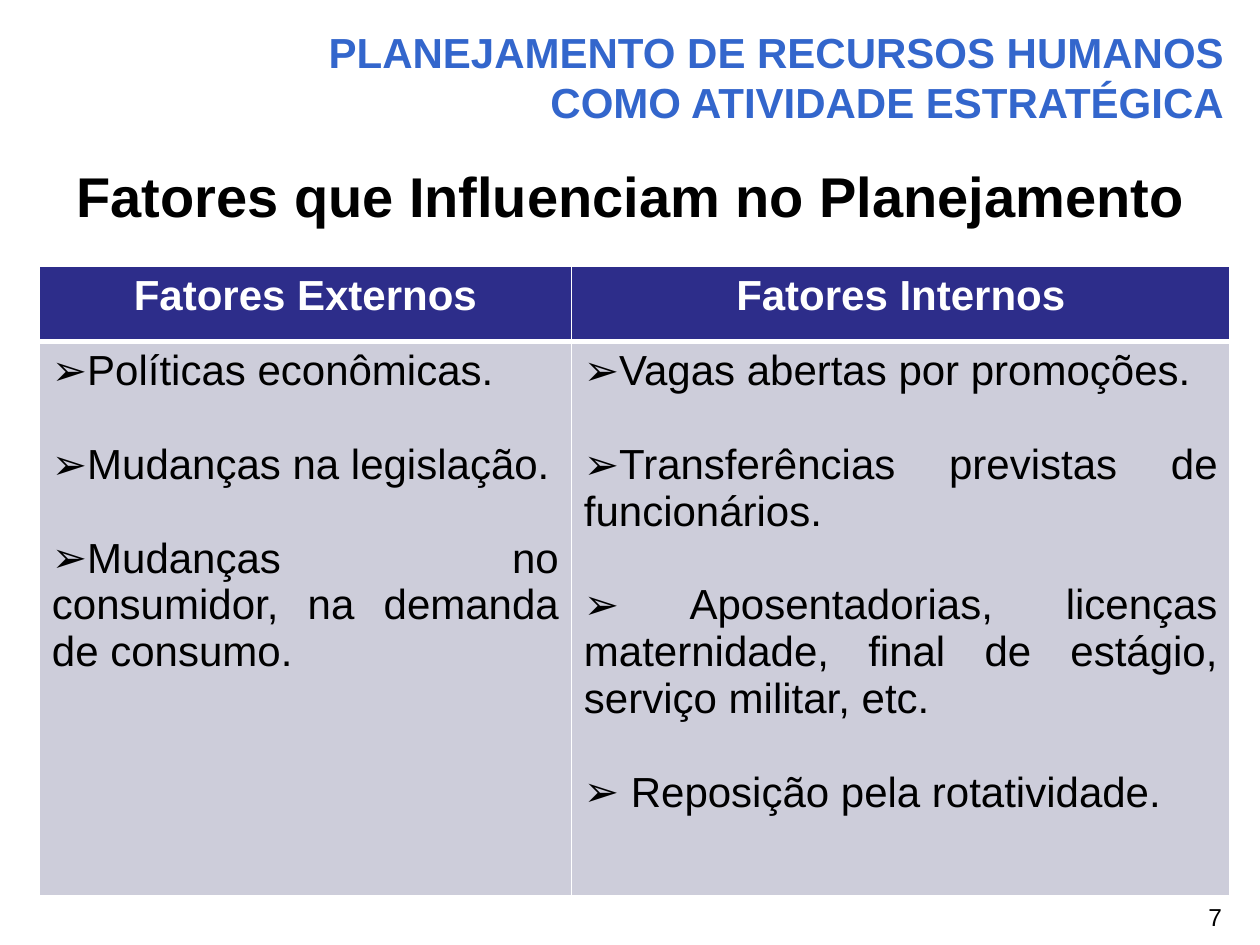
from lxml.etree import SubElement
from pptx import Presentation
from pptx.dml.color import RGBColor
from pptx.enum.text import MSO_ANCHOR, PP_ALIGN
from pptx.oxml.ns import qn
from pptx.util import Pt

COLORS = {
    "title": "3366CC",
    "text": "000000",
    "white": "FFFFFF",
    "header": "2D2D8A",
    "body": "CDCDDA",
}
FACTORS = {
    "Fatores Externos": [
        "Políticas econômicas.",
        "Mudanças na legislação.",
        "Mudanças no consumidor, na demanda de consumo.",
    ],
    "Fatores Internos": [
        "Vagas abertas por promoções.",
        "Transferências previstas de funcionários.",
        " Aposentadorias, licenças maternidade, final de estágio, serviço militar, etc.",
        " Reposição pela rotatividade.",
    ],
}
COLUMN_WIDTHS = (304, 376.5)
ROW_HEIGHTS = (43.2, 316.8)
ITEM_GAP = 26.7


def write(paragraph, text, size, color, bold=False, align=PP_ALIGN.LEFT):
    paragraph.text = text
    paragraph.alignment = align
    for run in paragraph.runs:
        run.font.name = "Arial"
        run.font.size = Pt(size)
        run.font.bold = bold
        run.font.color.rgb = RGBColor.from_string(COLORS[color])


def add_text(slide, box, text, size, color, bold=False,
             align=PP_ALIGN.LEFT, anchor=MSO_ANCHOR.TOP):
    frame = slide.shapes.add_textbox(*map(Pt, box)).text_frame
    frame.word_wrap = True
    frame.vertical_anchor = anchor
    write(frame.paragraphs[0], text, size, color, bold, align)
    return frame.paragraphs[0]


def add_bullet(paragraph):
    properties = paragraph._p.get_or_add_pPr()
    SubElement(properties, qn("a:buFont"), typeface="Arial")
    SubElement(properties, qn("a:buChar"), char="➢")


def style_cell(cell, fill, top, bottom):
    properties = cell._tc.get_or_add_tcPr()
    for side, width in (("L", 1), ("R", 1), ("T", top), ("B", bottom)):
        border = SubElement(properties, qn(f"a:ln{side}"), w=str(Pt(width)))
        solid = SubElement(border, qn("a:solidFill"))
        SubElement(solid, qn("a:srgbClr"), val=COLORS["white"])
    cell.fill.solid()
    cell.fill.fore_color.rgb = RGBColor.from_string(COLORS[fill])


def fill_items(cell, items):
    frame = cell.text_frame
    frame.text = "\n".join(items)
    for index, (paragraph, item) in enumerate(zip(frame.paragraphs, items)):
        write(paragraph, item, 24, "text", align=PP_ALIGN.JUSTIFY)
        paragraph.space_before = Pt(ITEM_GAP if index else 0)
        add_bullet(paragraph)


def add_factors(slide):
    table = slide.shapes.add_table(
        2, len(FACTORS), Pt(22.5), Pt(152),
        Pt(sum(COLUMN_WIDTHS)), Pt(sum(ROW_HEIGHTS))).table
    for row, height in zip(table.rows, ROW_HEIGHTS):
        row.height = Pt(height)
    for index, (heading, items) in enumerate(FACTORS.items()):
        table.columns[index].width = Pt(COLUMN_WIDTHS[index])
        header, body = table.cell(0, index), table.cell(1, index)
        style_cell(header, "header", 1, 3)
        style_cell(body, "body", 3, 1)
        write(header.text_frame.paragraphs[0], heading, 24, "white",
              True, PP_ALIGN.CENTER)
        fill_items(body, items)


def main():
    presentation = Presentation()
    presentation.slide_width, presentation.slide_height = Pt(720), Pt(540)
    slide = presentation.slides.add_slide(presentation.slide_layouts[6])
    add_text(slide, (683.5, 512, 45, 24.5), "7", 14, "text")
    subtitle = add_text(slide, (14.5, 88.5, 692, 52),
                        "Fatores que Influenciam no Planejamento",
                        32, "text", True, PP_ALIGN.CENTER)
    subtitle.space_before = Pt(6.4)
    add_text(slide, (139, 9.5, 567.5, 68.5),
             "PLANEJAMENTO DE RECURSOS HUMANOS COMO ATIVIDADE ESTRATÉGICA",
             24, "title", True, PP_ALIGN.RIGHT, MSO_ANCHOR.MIDDLE)
    add_factors(slide)
    presentation.save("out.pptx")


main()
